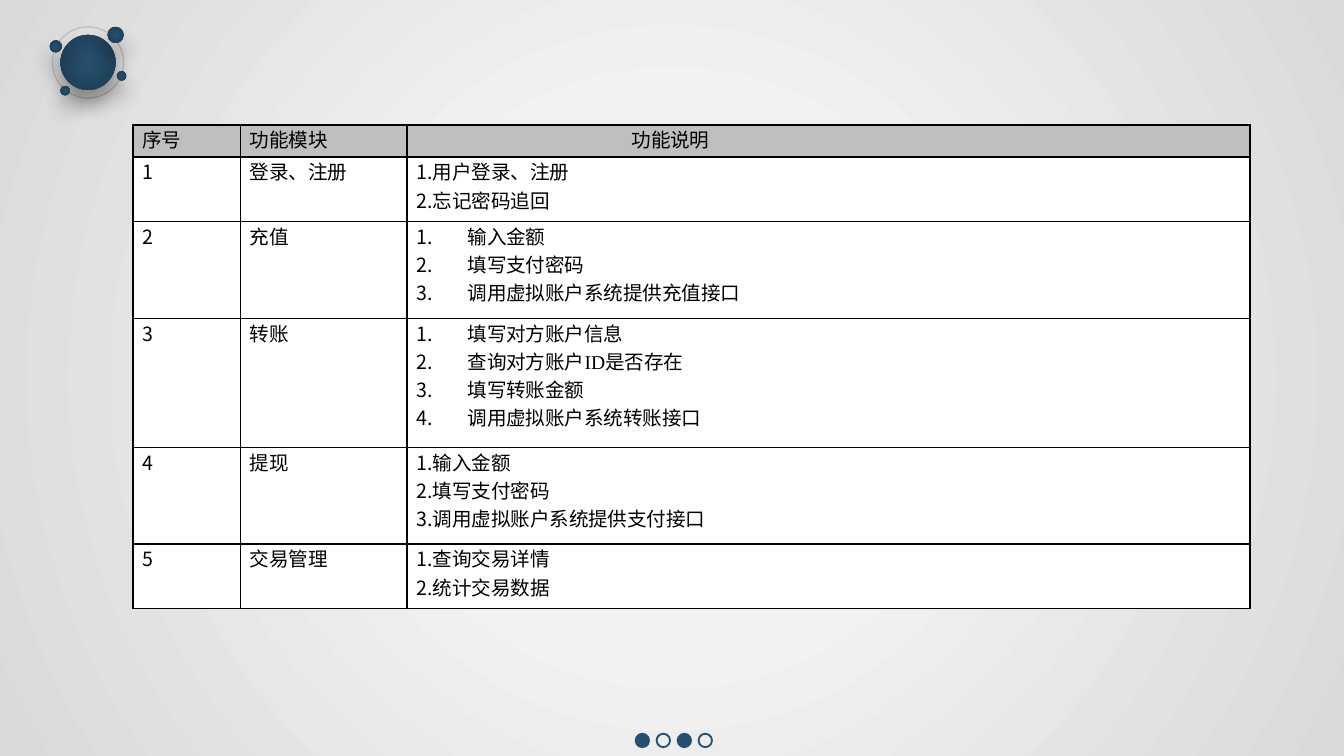
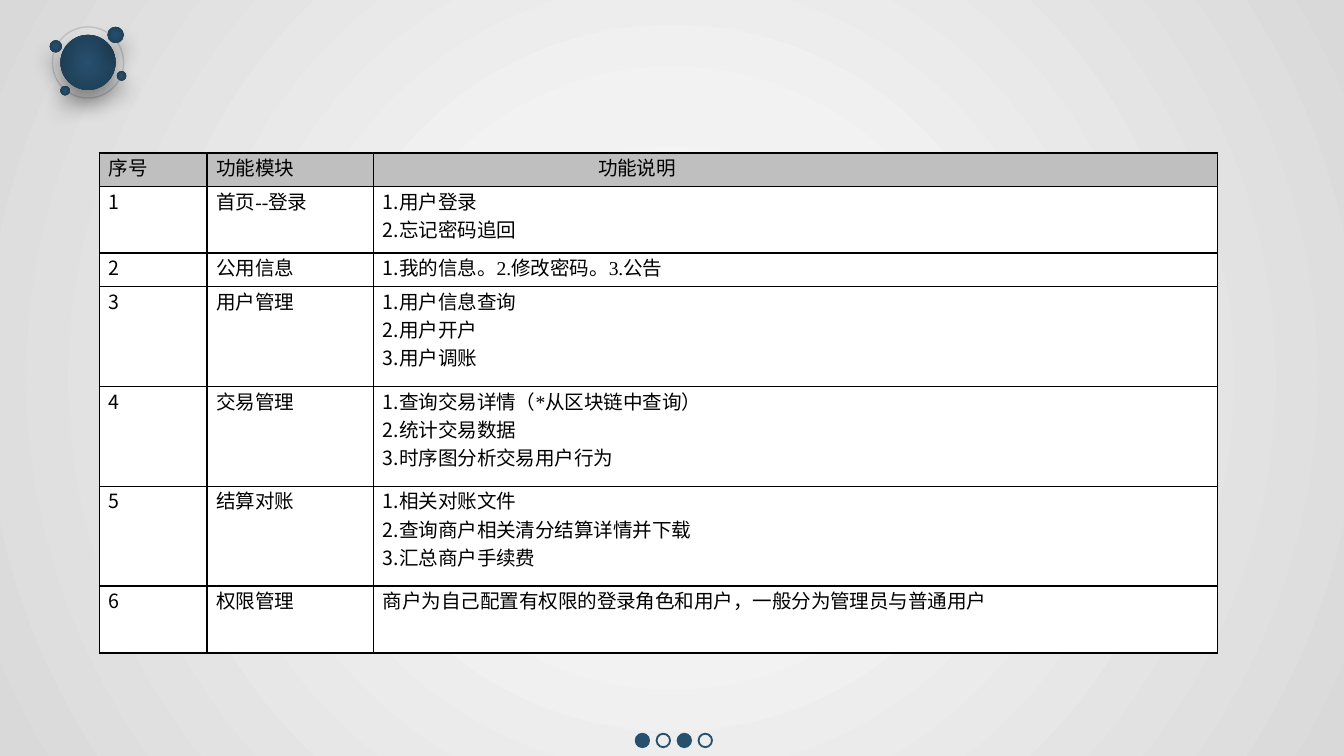
from dataclasses import dataclass

from pptx import Presentation
from pptx.dml.color import RGBColor
from pptx.enum.shapes import MSO_SHAPE
from pptx.enum.text import PP_ALIGN
from pptx.oxml import parse_xml
from pptx.oxml.ns import nsdecls, qn
from pptx.util import Inches, Pt

# Shared look
NAVY, DEEP_NAVY = "27506E", "1D3C52"
BLACK, WHITE, GREY = "000000", "FFFFFF", "BFBFBF"
BACKDROP = [(0, WHITE), (35, "F2F2F2"), (100, "D9D9D9")]
DISC_FILL = [(0, NAVY), (100, DEEP_NAVY)]
BODY_FONT, NUMBER_FONT = "Times New Roman", "Noto Sans CJK SC"
HEADINGS = ["序号", "功能模块", "功能说明"]

# Grid of 0.1 inch cells
COLUMNS, ROWS = 100, 56.25
UNIT = Inches(0.1)

# Badge discs: column, row, diameter
BADGE_DISCS = [(4.5, 2.6, 4.1), (8, 2, 1.2), (3.7, 3, 0.9),
               (4.5, 6.4, 0.7), (8.7, 5.3, 0.7)]


@dataclass
class Feature:
    module: str
    details: list
    numbering: str = "typed"  # typed, auto or none
    lines: int = 0            # row height in text lines, 0 for one per detail


def grid(count):
    return round(count * UNIT)


def color(code):
    return RGBColor.from_string(code)


def radial_fill(holder, stops):
    """Swap the solid fill inside holder for a circular gradient."""
    marks = "".join(f'<a:gs pos="{at * 1000}"><a:srgbClr val="{code}"/></a:gs>'
                    for at, code in stops)
    gradient = parse_xml(
        f'<a:gradFill {nsdecls("a")} rotWithShape="1"><a:gsLst>{marks}</a:gsLst>'
        '<a:path path="circle"><a:fillToRect l="50000" t="50000" r="50000" '
        'b="50000"/></a:path></a:gradFill>')
    holder.replace(holder.find(qn("a:solidFill")), gradient)


def add_text(paragraph, text, font=BODY_FONT, size=10.5, ink=BLACK):
    run = paragraph.add_run()
    run.text = text
    run.font.name = font
    run.font.size = Pt(size)
    run.font.color.rgb = color(ink)


def indent(paragraph, left, first, numbered=False):
    props = paragraph._p.get_or_add_pPr()
    props.set("marL", str(Inches(left)))
    props.set("indent", str(Inches(first)))
    if numbered:
        props.append(parse_xml(f'<a:buFont {nsdecls("a")} typeface="{NUMBER_FONT}"/>'))
        props.append(parse_xml(f'<a:buAutoNum {nsdecls("a")} type="arabicPeriod"/>'))


class Deck:
    def __init__(self):
        self.show = Presentation()
        self.show.slide_width = grid(COLUMNS)
        self.show.slide_height = grid(ROWS)
        self.slide = None

    def new_slide(self):
        self.slide = self.show.slides.add_slide(self.show.slide_layouts[6])
        self.slide.background.fill.solid()
        radial_fill(self.slide.element.find(".//" + qn("p:bgPr")), BACKDROP)
        self.badge()
        self.footer_dots()

    def circle(self, left, top, size, fill=None, line=None, weight=1):
        circle = self.slide.shapes.add_shape(
            MSO_SHAPE.OVAL, grid(left), grid(top), grid(size), grid(size))
        circle.shadow.inherit = False
        if fill:
            circle.fill.solid()
            circle.fill.fore_color.rgb = color(fill)
        else:
            circle.fill.background()
        if line:
            circle.line.color.rgb = color(line)
            circle.line.width = Pt(weight)
        else:
            circle.line.fill.background()
        return circle

    def glossy_disc(self, left, top, size):
        props = self.circle(left, top, size, fill=NAVY).element.spPr
        radial_fill(props, DISC_FILL)
        props.find(qn("a:effectLst")).append(parse_xml(
            f'<a:outerShdw {nsdecls("a")} blurRad="{Pt(11)}" dist="{Pt(8)}" '
            f'dir="5400000" algn="t" rotWithShape="0"><a:srgbClr val="{BLACK}">'
            '<a:alpha val="40000"/></a:srgbClr></a:outerShdw>'))

    def badge(self):
        self.circle(3.9, 2, 5.3, line=GREY, weight=0.75)
        for disc in BADGE_DISCS:
            self.glossy_disc(*disc)

    def footer_dots(self):
        for i in range(4):
            self.circle(47.3 + 1.56 * i, 54.6, 1,
                        fill=None if i % 2 else NAVY, line=NAVY)

    def cell(self, cell, fill=WHITE):
        """Format a table cell and return its first paragraph."""
        cell.margin_left = cell.margin_right = Inches(0.07)
        cell.margin_top = cell.margin_bottom = 0
        cell.fill.solid()
        cell.fill.fore_color.rgb = color(fill)
        props = cell._tc.get_or_add_tcPr()
        for i, side in enumerate("LRTB"):
            props.insert(i, parse_xml(
                f'<a:ln{side} {nsdecls("a")} w="{Pt(1)}"><a:solidFill>'
                f'<a:srgbClr val="{BLACK}"/></a:solidFill></a:ln{side}>'))
        paragraph = cell.text_frame.paragraphs[0]
        paragraph.alignment = PP_ALIGN.JUSTIFY
        return paragraph

    def details(self, cell, feature):
        paragraph = self.cell(cell)
        for number, detail in enumerate(feature.details, 1):
            if number > 1:
                paragraph = cell.text_frame.add_paragraph()
                paragraph.alignment = PP_ALIGN.JUSTIFY
            if feature.numbering == "auto":
                indent(paragraph, 0.38, -0.38, numbered=True)
            elif feature.numbering == "typed":
                add_text(paragraph, f"{number}.", font=NUMBER_FONT)
            add_text(paragraph, detail)

    def feature_table(self, left, top, widths, line_height, features):
        heights = [line_height * n for n in
                   [1] + [f.lines or len(f.details) for f in features]]
        table = self.slide.shapes.add_table(
            len(heights), len(widths), grid(left), grid(top),
            grid(sum(widths)), grid(sum(heights))).table
        table.first_row = table.horz_banding = False
        for column, width in zip(table.columns, widths):
            column.width = grid(width)
        for row, height in zip(table.rows, heights):
            row.height = grid(height)

        # Heading row
        for i, heading in enumerate(HEADINGS):
            paragraph = self.cell(table.cell(0, i), fill=GREY)
            if i == 2:
                indent(paragraph, 0, 1.6)
            add_text(paragraph, heading)

        # One row per feature
        for i, feature in enumerate(features, 1):
            add_text(self.cell(table.cell(i, 0)), str(i), font=NUMBER_FONT)
            add_text(self.cell(table.cell(i, 1)), feature.module)
            self.details(table.cell(i, 2), feature)


USER_FEATURES = [
    Feature("登录、注册", ["用户登录、注册", "忘记密码追回"]),
    Feature("充值", ["输入金额", "填写支付密码", "调用虚拟账户系统提供充值接口"], "auto"),
    Feature("转账", ["填写对方账户信息", "查询对方账户ID是否存在", "填写转账金额",
                   "调用虚拟账户系统转账接口"], "auto"),
    Feature("提现", ["输入金额", "填写支付密码", "调用虚拟账户系统提供支付接口"]),
    Feature("交易管理", ["查询交易详情", "统计交易数据"]),
]

ADMIN_FEATURES = [
    Feature("首页--登录", ["用户登录", "忘记密码追回"]),
    Feature("公用信息", ["我的信息。2.修改密码。3.公告"]),
    Feature("用户管理", ["用户信息查询", "用户开户", "用户调账"]),
    Feature("交易管理", ["查询交易详情（*从区块链中查询）", "统计交易数据",
                     "时序图分析交易用户行为"]),
    Feature("结算对账", ["相关对账文件", "查询商户相关清分结算详情并下载", "汇总商户手续费"]),
    Feature("权限管理", ["商户为自己配置有权限的登录角色和用户，一般分为管理员与普通用户"],
            "none", lines=2),
]


def main():
    deck = Deck()

    # Slide 1: user features
    deck.new_slide()
    deck.feature_table(9.9, 9.3, [8, 12.4, 62.7], 2.4, USER_FEATURES)

    # Slide 2: merchant administration features
    deck.new_slide()
    deck.feature_table(7.4, 11.4, [8, 12.4, 62.8], 2.48, ADMIN_FEATURES)

    deck.show.save("out.pptx")


if __name__ == "__main__":
    main()
